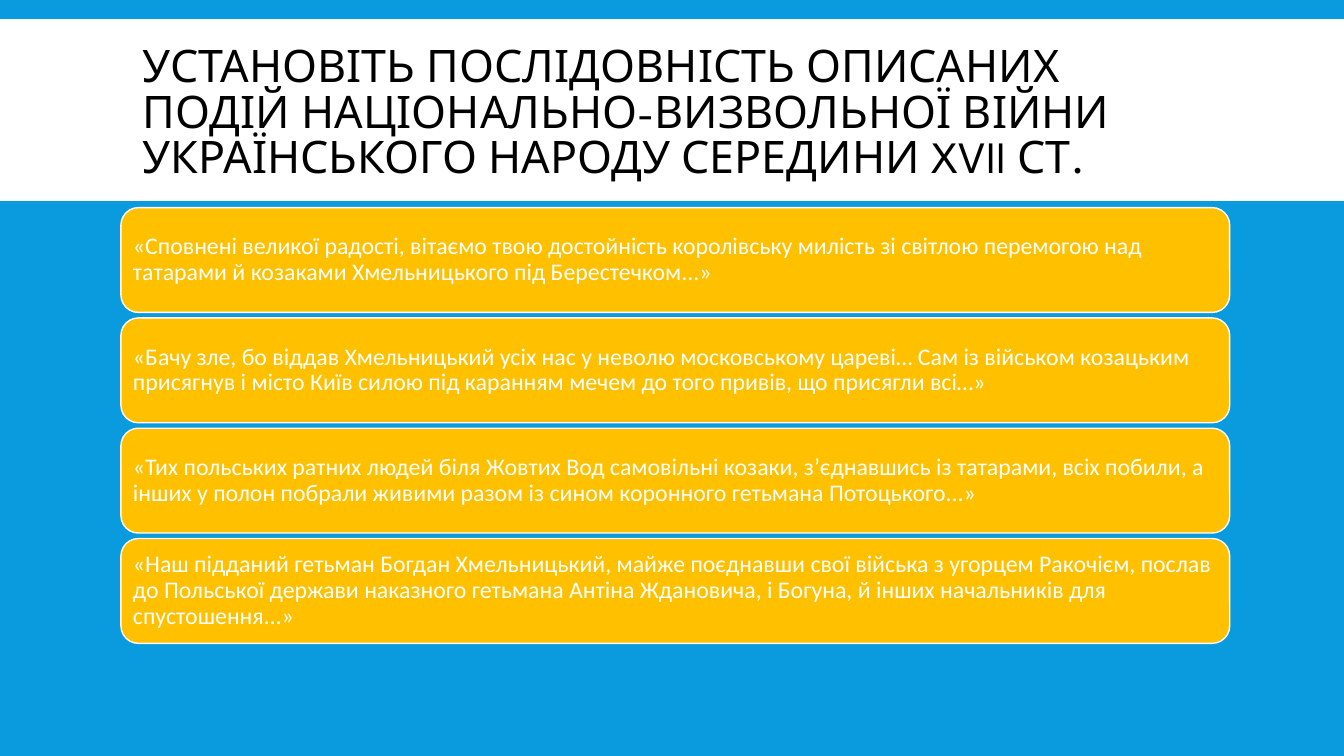
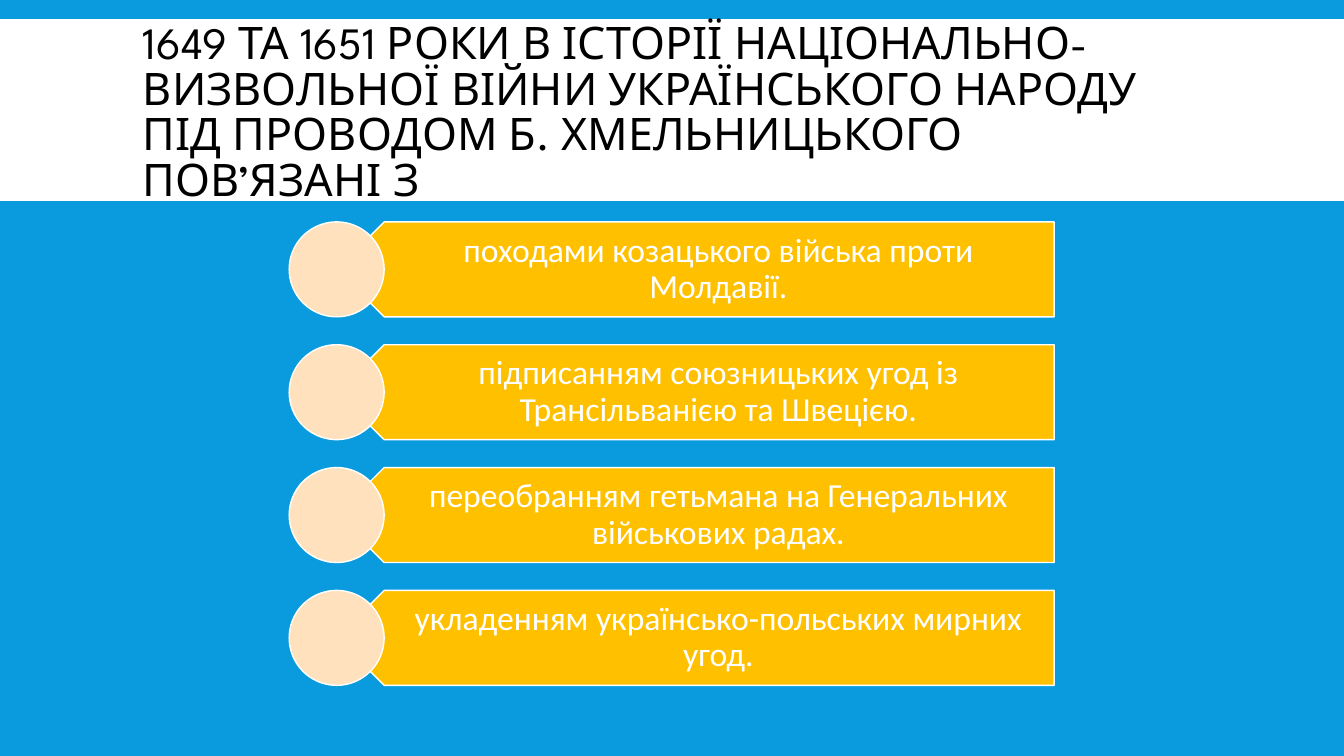
from dataclasses import dataclass

from pptx import Presentation
from pptx.dml.color import RGBColor
from pptx.enum.shapes import MSO_SHAPE
from pptx.enum.text import MSO_ANCHOR, PP_ALIGN
from pptx.presentation import Presentation as Deck
from pptx.shapes.autoshape import Shape
from pptx.slide import Slide
from pptx.util import Pt

RECT = MSO_SHAPE.RECTANGLE
ROUND = MSO_SHAPE.ROUNDED_RECTANGLE
ARROW = MSO_SHAPE.PENTAGON
OVAL = MSO_SHAPE.OVAL
MIDDLE = MSO_ANCHOR.MIDDLE
LEFT = PP_ALIGN.LEFT
CENTER = PP_ALIGN.CENTER


@dataclass(frozen=True)
class Theme:
    back: RGBColor = RGBColor(0x09, 0x9B, 0xDD)
    white: RGBColor = RGBColor(0xFF, 0xFF, 0xFF)
    black: RGBColor = RGBColor(0, 0, 0)
    gold: RGBColor = RGBColor(0xFF, 0xC0, 0x00)
    cream: RGBColor = RGBColor(0xFF, 0xE2, 0xBD)
    head: str = "League Spartan"
    body: str = "Calibri"


@dataclass(frozen=True)
class Box:
    """A rectangle in points."""
    left: float
    top: float
    width: float
    height: float

    def down(self, step: float) -> "Box":
        return Box(self.left, self.top + step, self.width, self.height)

    def spans(self) -> tuple[Pt, Pt, Pt, Pt]:
        return Pt(self.left), Pt(self.top), Pt(self.width), Pt(self.height)


@dataclass(frozen=True)
class Style:
    """Look of a text: insets run left, top, right, bottom."""
    font: str
    size: float
    color: RGBColor
    lead: float
    align: PP_ALIGN
    inset: tuple[float, float, float, float]


THEME = Theme()
TITLE = Style(THEME.head, 32, THEME.black, 0.85, LEFT, (7.2, 3.6, 7.2, 3.6))
QUOTE = Style(THEME.body, 17, THEME.white, 0.9, LEFT, (5, 5, 5, 5))
CHOICE = Style(THEME.body, 24, THEME.white, 0.9, CENTER, (29.5, 7.2, 13.7, 7.2))

BAND = Box(0, 13.6, 960, 130)
HEAD = Box(95, 22.3, 770.4, 118.8)

BAR = Box(86.4, 148.3, 792, 74.9)
BAR_STEP = 78.8

TAG = Box(240.5, 158.5, 512.5, 67.8)
LABEL = Box(257.5, TAG.top, 495.5, TAG.height)
DOT = Box(TAG.left - TAG.height / 2, TAG.top, TAG.height, TAG.height)
TAG_STEP = 87.75

QUOTES_HEAD = (
    "УСТАНОВІТЬ ПОСЛІДОВНІСТЬ ОПИСАНИХ ПОДІЙ НАЦІОНАЛЬНО-ВИЗВОЛЬНОЇ ВІЙНИ "
    "УКРАЇНСЬКОГО НАРОДУ СЕРЕДИНИ XVII СТ."
)
QUOTES = (
    "«Сповнені великої радості, вітаємо твою достойність королівську милість "
    "зі світлою перемогою над татарами й козаками Хмельницького під "
    "Берестечком...»",
    "«Бачу зле, бо віддав Хмельницький усіх нас у неволю московському "
    "цареві… Сам із військом козацьким присягнув і місто Київ силою під "
    "каранням мечем до того привів, що присягли всі…»",
    "«Тих польських ратних людей біля Жовтих Вод самовільні козаки, "
    "з’єднавшись із татарами, всіх побили, а інших у полон побрали живими "
    "разом із сином коронного гетьмана Потоцького...»",
    "«Наш підданий гетьман Богдан Хмельницький, майже поєднавши свої війська "
    "з угорцем Ракочієм, послав до Польської держави наказного гетьмана "
    "Антіна Ждановича, і Богуна, й інших начальників для спустошення...»",
)
CHOICES_HEAD = (
    "1649 ТА 1651 РОКИ В ІСТОРІЇ НАЦІОНАЛЬНО-ВИЗВОЛЬНОЇ ВІЙНИ УКРАЇНСЬКОГО "
    "НАРОДУ ПІД ПРОВОДОМ Б. ХМЕЛЬНИЦЬКОГО ПОВ’ЯЗАНІ З"
)
CHOICES = (
    "походами козацького війська проти Молдавії.",
    "підписанням союзницьких угод із Трансільванією та Швецією.",
    "переобранням гетьмана на Генеральних військових радах.",
    "укладенням українсько-польських мирних угод.",
)


def draw(slide: Slide, kind: MSO_SHAPE, box: Box, fill: RGBColor,
         edge: bool = True) -> Shape:
    shape = slide.shapes.add_shape(kind, *box.spans())
    shape.shadow.inherit = False
    shape.fill.solid()
    shape.fill.fore_color.rgb = fill
    if edge:
        shape.line.color.rgb = THEME.white
        shape.line.width = Pt(1)
    else:
        shape.line.fill.background()
    return shape


def write(shape: Shape, text: str, style: Style) -> None:
    frame = shape.text_frame
    frame.word_wrap = True
    frame.vertical_anchor = MIDDLE
    left, top, right, bottom = style.inset
    frame.margin_left, frame.margin_top = Pt(left), Pt(top)
    frame.margin_right, frame.margin_bottom = Pt(right), Pt(bottom)
    para = frame.paragraphs[0]
    para.alignment = style.align
    para.line_spacing = style.lead
    run = para.add_run()
    run.text = text
    run.font.name = style.font
    run.font.size = Pt(style.size)
    run.font.color.rgb = style.color


def label(slide: Slide, box: Box, text: str, style: Style) -> None:
    write(slide.shapes.add_textbox(*box.spans()), text, style)


def start(deck: Deck, title: str) -> Slide:
    """Add a slide with the white band and its title."""
    slide = deck.slides.add_slide(deck.slide_layouts[6])
    draw(slide, RECT, BAND, THEME.white, edge=False)
    label(slide, HEAD, title, TITLE)
    return slide


def add_quotes(deck: Deck) -> None:
    slide = start(deck, QUOTES_HEAD)
    for row, text in enumerate(QUOTES):
        bar = draw(slide, ROUND, BAR.down(row * BAR_STEP), THEME.gold)
        write(bar, text, QUOTE)


def add_choices(deck: Deck) -> None:
    slide = start(deck, CHOICES_HEAD)
    for row, text in enumerate(CHOICES):
        step = row * TAG_STEP
        tag = draw(slide, ARROW, TAG.down(step), THEME.gold)
        tag.rotation = 180
        label(slide, LABEL.down(step), text, CHOICE)
        draw(slide, OVAL, DOT.down(step), THEME.cream)


def main() -> None:
    deck = Presentation()
    deck.slide_width, deck.slide_height = Pt(960), Pt(540)
    back = deck.slide_master.background.fill
    back.solid()
    back.fore_color.rgb = THEME.back
    add_quotes(deck)
    add_choices(deck)
    deck.save("out.pptx")


if __name__ == "__main__":
    main()
